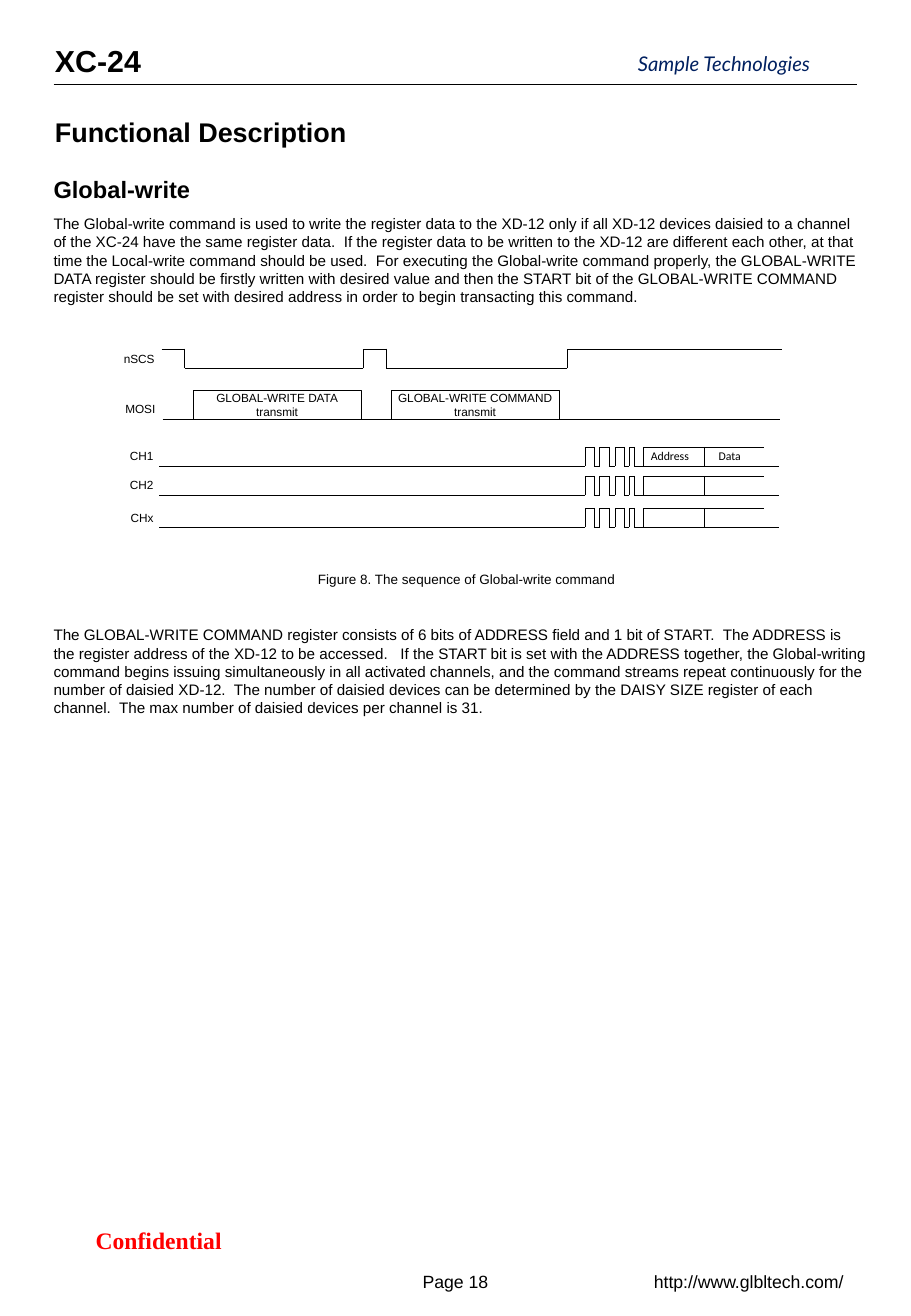
from lxml.etree import SubElement
from pptx import Presentation
from pptx.dml.color import RGBColor
from pptx.enum.shapes import MSO_CONNECTOR, MSO_SHAPE
from pptx.enum.text import MSO_ANCHOR, MSO_AUTO_SIZE, PP_ALIGN
from pptx.oxml.ns import qn
from pptx.util import Cm, Pt

BLACK = RGBColor(0, 0, 0)
NAVY = RGBColor(0x00, 0x20, 0x60)
RED = RGBColor(0xFF, 0, 0)
LEFT, MID, RIGHT = PP_ALIGN.LEFT, PP_ALIGN.CENTER, PP_ALIGN.RIGHT
NONE = (0, 0, 0, 0)
FULL = (0.25, 0.13, 0.25, 0.13)
HEAD = (0, 0.13, 0.25, 0.13)

INTRO = [
    "The Global-write command is used to write the register data to the XD-12 only if all XD-12 devices daisied to a channel",
    "of the XC-24 have the same register data.  If the register data to be written to the XD-12 are different each other, at that",
    "time the Local-write command should be used.  For executing the Global-write command properly, the GLOBAL-WRITE",
    "DATA register should be firstly written with desired value and then the START bit of the GLOBAL-WRITE COMMAND",
    "register should be set with desired address in order to begin transacting this command.",
]
DETAIL = [
    "The GLOBAL-WRITE COMMAND register consists of 6 bits of ADDRESS field and 1 bit of START.  The ADDRESS is",
    "the register address of the XD-12 to be accessed.   If the START bit is set with the ADDRESS together, "
    "the Global-writing command begins issuing simultaneously in all activated channels, and the command streams "
    "repeat continuously for the number of daisied XD-12.  The number of daisied devices can be determined by the "
    "DAISY SIZE register of each channel.  The max number of daisied devices per channel is 31.",
]
PULSE = [3.33, 12.23, 12.42, 12.54, 12.73, 12.86, 13.05, 13.16, 13.26, 13.46, 14.73]
SWING = 0.4


class Sheet:
    """Draws text, lines and signals on one slide in a common style."""

    def __init__(self, slide, font="Arial", thin=0.25):
        self.slide, self.font, self.thin = slide, font, thin

    def fill(self, frame, rows, size, align, inset, color=BLACK, font=None, bold=False, slant=False):
        (frame.margin_left, frame.margin_top,
         frame.margin_right, frame.margin_bottom) = [Cm(side) for side in inset]
        for index, row in enumerate(rows):
            para = frame.add_paragraph() if index else frame.paragraphs[0]
            para.alignment = align
            run = para.add_run()
            run.text = row
            run.font.name = font or self.font
            run.font.size = Pt(size)
            run.font.bold, run.font.italic = bold, slant
            run.font.color.rgb = color

    def text(self, place, rows, size, align=LEFT, inset=FULL, wrap=True, grow=True, **look):
        box = self.slide.shapes.add_textbox(*[Cm(part) for part in place])
        frame = box.text_frame
        frame.word_wrap = wrap
        frame.auto_size = MSO_AUTO_SIZE.SHAPE_TO_FIT_TEXT if grow else MSO_AUTO_SIZE.NONE
        frame.vertical_anchor = MSO_ANCHOR.TOP if grow else MSO_ANCHOR.MIDDLE
        self.fill(frame, rows, size, align, inset, **look)

    def label(self, left, top, name):
        self.text((left, top, 0.89, 0.15), [name], 7, RIGHT, NONE, grow=False)

    def frame(self, place, rows):
        box = self.slide.shapes.add_shape(MSO_SHAPE.RECTANGLE, *[Cm(part) for part in place])
        box.shadow.inherit = False
        box.fill.background()
        box.line.color.rgb = BLACK
        box.line.width = Pt(self.thin)
        box.text_frame.word_wrap = True
        box.text_frame.vertical_anchor = MSO_ANCHOR.MIDDLE
        self.fill(box.text_frame, rows, 7, MID, NONE)

    def line(self, start, end, width=None):
        ends = [Cm(part) for part in (*start, *end)]
        wire = self.slide.shapes.add_connector(MSO_CONNECTOR.STRAIGHT, *ends)
        wire.line.color.rgb = BLACK
        wire.line.width = Pt(width or self.thin)
        SubElement(wire._element.spPr, qn("a:effectLst"))

    def wave(self, edges, first, second):
        for index, (left, right) in enumerate(zip(edges, edges[1:])):
            level, other = (second, first) if index % 2 else (first, second)
            self.line((left, level), (right, level))
            if index < len(edges) - 2:
                self.line((right, level), (right, other))

    def channel(self, low):
        high = low - SWING
        self.wave(PULSE, low, high)
        self.line((14.73, high), (15.98, high))
        self.line((14.73, high), (14.73, low))
        self.line((13.46, low), (16.29, low))


def main():
    deck = Presentation()
    deck.slide_width, deck.slide_height = Cm(19.05), Cm(27.51)
    sheet = Sheet(deck.slides.add_slide(deck.slide_layouts[6]))

    sheet.text((8.33, 26.36, 2.39, 0.86), ["Page 18"], 10.5, MID, grow=False)
    sheet.line((1.12, 1.77), (17.93, 1.77), 0.5)
    sheet.text((13.27, 26.36, 4.78, 0.86), ["http://www.glbltech.com/"], 10.5, MID, grow=False)
    sheet.text((0.87, 25.5, 4.9, 0.86), ["Confidential"], 14, MID, grow=False,
               color=RED, font="Times New Roman", bold=True)
    sheet.text((13.34, 1.08, 4.06, 0.51), ["Sample Technologies"], 12, inset=NONE, wrap=False,
               color=NAVY, font="Lato", slant=True)
    sheet.text((1.15, 0.76, 1.88, 1.02), ["XC-24"], 18, inset=(0, 0.13, 0, 0.13), wrap=False, bold=True)
    sheet.text((1.15, 2.29, 16.79, 0.94), ["Functional Description"], 16, inset=HEAD, bold=True)
    sheet.text((1.12, 4.48, 16.79, 1.93), INTRO, 9, inset=NONE)
    sheet.text((1.12, 3.52, 16.79, 0.86), ["Global-write"], 14, inset=HEAD, bold=True)
    sheet.text((1.12, 13.08, 17, 1.93), DETAIL, 9, inset=NONE)

    sheet.label(2.34, 7.42, "nSCS")
    sheet.wave([3.38, 3.86, 7.59, 8.08, 11.86, 16.36], 7.29, 7.7)
    sheet.label(2.36, 8.48, "MOSI")
    for left, word in ((4.04, "DATA"), (8.18, "COMMAND")):
        sheet.frame((left, 8.16, 3.51, 0.61), [f"GLOBAL-WRITE {word}", "transmit"])
    sheet.line((3.4, 8.77), (16.31, 8.77))

    for name, low in (("CH1", 9.74), ("CH2", 10.35), ("CHx", 11.02)):
        sheet.label(2.32, low - 0.28, name)
        sheet.channel(low)
    sheet.text((14.78, 9.25, 0.99, 0.56), ["Data"], 7, wrap=False, font="Calibri")
    sheet.text((13.36, 9.25, 1.32, 0.56), ["Address"], 7, wrap=False, font="Calibri")
    sheet.text((6.65, 11.81, 6.55, 0.61), ["Figure 8. The sequence of Global-write command"], 8,
               inset=HEAD, wrap=False)
    deck.save("out.pptx")


if __name__ == "__main__":
    main()
